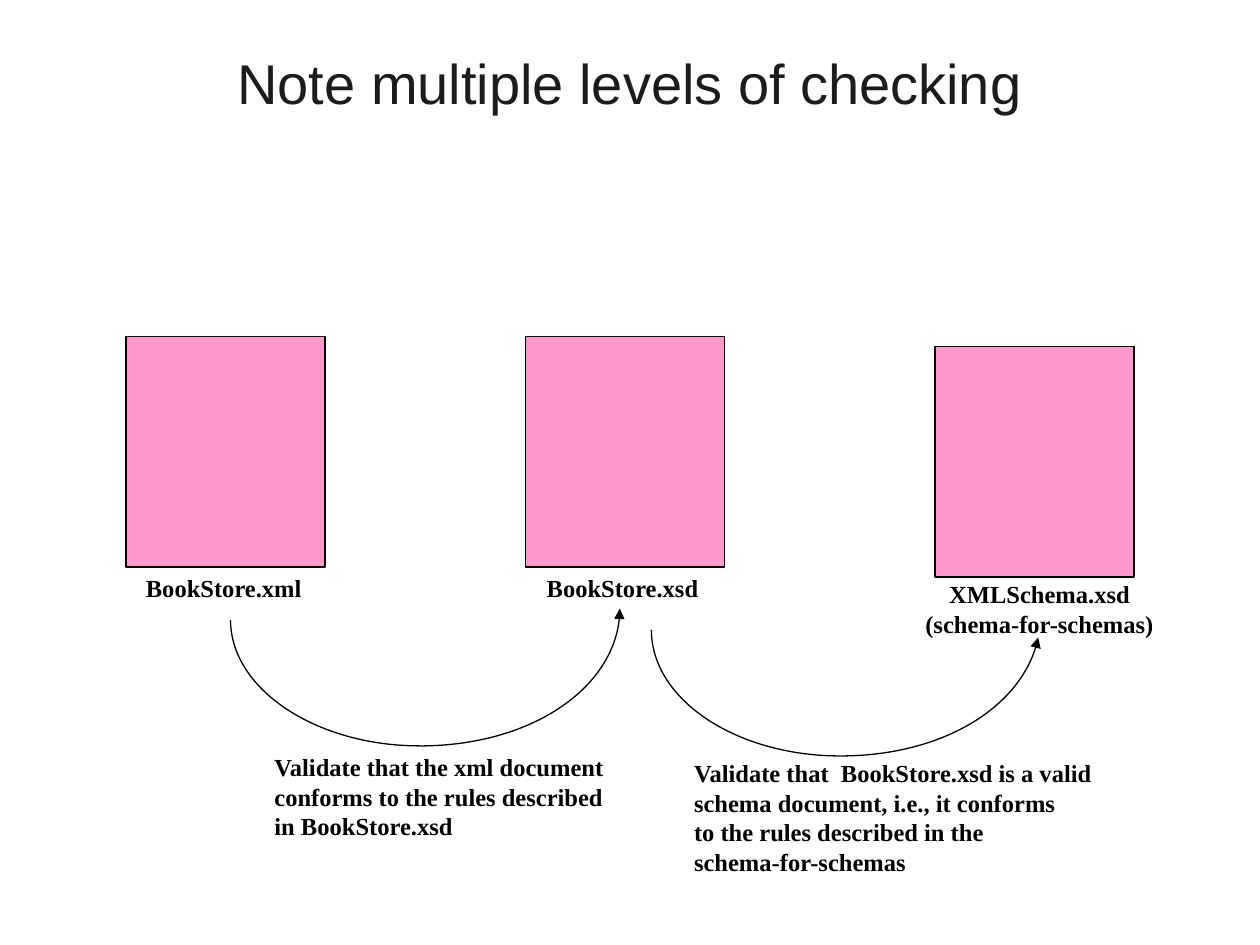
"""Build a slide on the levels of checking from an XML document to its schemas."""
import pptx
import pptx.util
import pptx.dml.color
import pptx.enum.shapes
import pptx.enum.text
import pptx.oxml.ns
from lxml import etree

COLORS = {"title": "1C1C1C", "ink": "000000", "file": "FF99CC"}
TITLE = "Note multiple levels of checking"
FILE_SIZE = (1.58, 1.83)
FILES = [(1, 2.67), (4.17, 2.67), (7.42, 2.75)]
LEFT, CENTER = pptx.enum.text.PP_ALIGN.LEFT, pptx.enum.text.PP_ALIGN.CENTER
CAPTIONS = [
    ((1.06, 4.5, 1.44, 0.34), LEFT, ["BookStore.xml"]),
    ((4.24, 4.5, 1.41, 0.34), LEFT, ["BookStore.xsd"]),
    ((7.24, 4.55, 2.02, 0.57), CENTER, ["XMLSchema.xsd", "(schema-for-schemas)"]),
    ((2.08, 5.92, 2.83, 0.8), LEFT, [
        "Validate that the xml document",
        "conforms to the rules described",
        "in BookStore.xsd",
    ]),
    ((5.41, 5.97, 3.38, 1.04), LEFT, [
        "Validate that  BookStore.xsd is a valid",
        "schema document, i.e., it conforms",
        "to the rules described in the",
        "schema-for-schemas",
    ]),
]
VALIDATIONS = [
    {"bottom": (3.33, 5.92),
     "departure": [(2.51, 5.92), (1.83, 5.47), (1.83, 4.92)],
     "arrival": [(4.21, 5.92), (4.92, 5.43), (4.92, 4.83)]},
    {"bottom": (6.67, 6),
     "departure": [(5.84, 6), (5.17, 5.55), (5.17, 5)],
     "arrival": [(7.46, 6), (8.13, 5.6), (8.24, 5.06)]},
]


def inches(values):
    return [pptx.util.Inches(value) for value in values]


def rgb(name):
    return pptx.dml.color.RGBColor.from_string(COLORS[name])


def style_text(frame, font, size, color, align, bold=False):
    for paragraph in frame.paragraphs:
        paragraph.alignment = align
        for run in paragraph.runs:
            run.font.name = font
            run.font.size = pptx.util.Pt(size)
            run.font.bold = bold
            run.font.color.rgb = rgb(color)


def outline(part):
    part.shadow.inherit = False
    part.line.color.rgb = rgb("ink")
    part.line.width = pptx.util.Pt(0.75)


def add_curve(slide, start, bends):
    builder = slide.shapes.build_freeform(*inches(start), scale=1.0)
    builder.add_line_segments([inches(bends[-1])], close=False)
    curve = builder.convert_to_shape()
    outline(curve)
    curve.fill.background()
    segment = next(curve.element.iter(pptx.oxml.ns.qn("a:lnTo")))
    bezier = etree.Element(pptx.oxml.ns.qn("a:cubicBezTo"))
    for x, y in map(inches, bends):
        etree.SubElement(bezier, pptx.oxml.ns.qn("a:pt"),
                         x=str(x - curve.left), y=str(y - curve.top))
    segment.getparent().replace(segment, bezier)
    return curve


def main():
    deck = pptx.Presentation()
    deck.slide_width, deck.slide_height = inches((10, 7.5))
    slide = deck.slides.add_slide(deck.slide_layouts[5])

    title = slide.shapes.title
    title.left, title.top, title.width, title.height = inches((0.5, 0.3, 9, 0.7))
    title.text_frame.text = TITLE
    title.text_frame.vertical_anchor = pptx.enum.text.MSO_ANCHOR.MIDDLE
    style_text(title.text_frame, "Arial", 32, "title", CENTER)

    for corner in FILES:
        file_box = slide.shapes.add_shape(pptx.enum.shapes.MSO_SHAPE.RECTANGLE,
                                          *inches(corner + FILE_SIZE))
        outline(file_box)
        file_box.fill.solid()
        file_box.fill.fore_color.rgb = rgb("file")

    for validation in VALIDATIONS:
        add_curve(slide, validation["bottom"], validation["departure"])
        arrival = add_curve(slide, validation["bottom"], validation["arrival"])
        etree.SubElement(arrival.line._get_or_add_ln(),
                         pptx.oxml.ns.qn("a:tailEnd"), type="triangle")

    for box, align, lines in CAPTIONS:
        caption = slide.shapes.add_textbox(*inches(box)).text_frame
        caption.word_wrap = False
        caption.auto_size = pptx.enum.text.MSO_AUTO_SIZE.SHAPE_TO_FIT_TEXT
        caption.text = "\n".join(lines)
        style_text(caption, "Times New Roman", 14, "ink", align, bold=True)

    deck.save("out.pptx")


if __name__ == "__main__":
    main()
